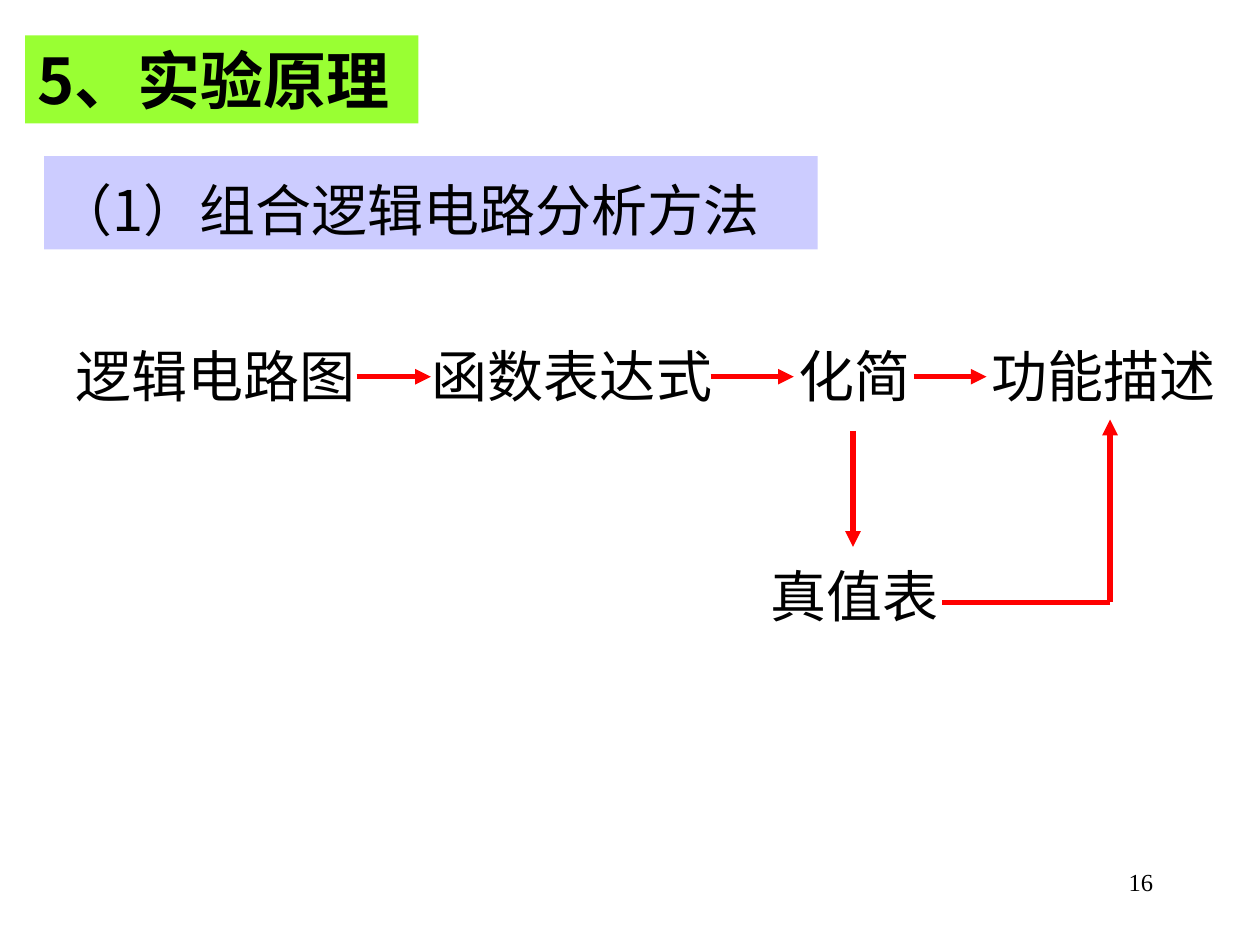
"""Build the slide on how to analyse a combinational logic circuit."""
import pptx
import pptx.util
import pptx.dml.color
import pptx.enum.text
import pptx.enum.shapes
import pptx.oxml.ns
from lxml import etree

HUES = {"ink": "000000", "title": "99FF33", "sub": "CCCCFF", "line": "FF0000"}
SANS, SERIF = "Noto Sans CJK SC", "Times New Roman"
WIDE, HIGH = 10, 7.5
ROW, LOW, TALL = 2.66, 4.41, 0.64
MID, BASE, TURN, DROP = 2.99, 4.78, 8.81, 6.77

TITLE = ("5、实验原理", (0.2, 0.28, 3.12, 0.7))
SUB = ("（1）组合逻辑电路分析方法", (0.35, 1.24, 6.14, 0.74))
PAGE = ("16", (7.17, 6.83, 2.08, 0.5))
STEPS = [
    ("逻辑电路图", 0.5, ROW, 2.42),
    ("函数表达式", 3.33, ROW, 2.42),
    ("化简", 6.24, ROW, 1.09),
    ("功能描述", 7.77, ROW, 1.98),
    ("真值表", 6.02, LOW, 1.53),
]
LINES = [
    (2.83, MID, 3.42, MID, True),
    (5.64, MID, 6.3, MID, True),
    (7.25, MID, 7.83, MID, True),
    (DROP, 3.42, DROP, 4.34, True),
    (7.48, BASE, TURN, BASE, False),
    (TURN, BASE, TURN, 3.33, True),
]


def color(key):
    return pptx.dml.color.RGBColor.from_string(HUES[key])


def add(tag, node, **attrs):
    return etree.SubElement(node, pptx.oxml.ns.qn(tag), attrs)


def write(shape, text, box, size, font=SANS, bold=False, wrap=False, align="LEFT", fill=None):
    shape.left, shape.top, shape.width, shape.height = map(pptx.util.Inches, box)
    frame = shape.text_frame
    frame.text = text
    frame.word_wrap = wrap
    frame.auto_size = pptx.enum.text.MSO_AUTO_SIZE.NONE
    frame.vertical_anchor = pptx.enum.text.MSO_ANCHOR.TOP
    para = frame.paragraphs[0]
    para.alignment = getattr(pptx.enum.text.PP_ALIGN, align)
    run = para.runs[0]
    run.font.size, run.font.bold, run.font.name = pptx.util.Pt(size), bold, font
    run.font.color.rgb = color("ink")
    add("a:ea", run._r.get_or_add_rPr(), typeface=font)
    if fill:
        shape.fill.solid()
        shape.fill.fore_color.rgb = color(fill)
    return para


def link(shapes, x1, y1, x2, y2, arrow):
    ends = map(pptx.util.Inches, (x1, y1, x2, y2))
    line = shapes.add_connector(pptx.enum.shapes.MSO_CONNECTOR.STRAIGHT, *ends)
    line.line.color.rgb = color("line")
    line.line.width = pptx.util.Pt(3)
    if arrow:
        add("a:tailEnd", line.line._get_or_add_ln(), type="triangle")
    add("a:effectLst", line._element.spPr)


def main():
    deck = pptx.Presentation()
    deck.slide_width = pptx.util.Inches(WIDE)
    deck.slide_height = pptx.util.Inches(HIGH)
    slide = deck.slides.add_slide(deck.slide_layouts[5])
    shapes = slide.shapes

    def label():
        return shapes.add_textbox(0, 0, 0, 0)

    write(shapes.title, *TITLE, 36, bold=True, fill="title")
    para = write(label(), *SUB, 32, wrap=True, fill="sub")
    para.line_spacing = 1.2
    for text, left, top, width in STEPS:
        write(label(), text, (left, top, width, TALL), 32)
    for ends in LINES:
        link(shapes, *ends)
    write(label(), *PAGE, 14, font=SERIF, wrap=True, align="RIGHT")
    deck.save("out.pptx")


if __name__ == "__main__":
    main()
